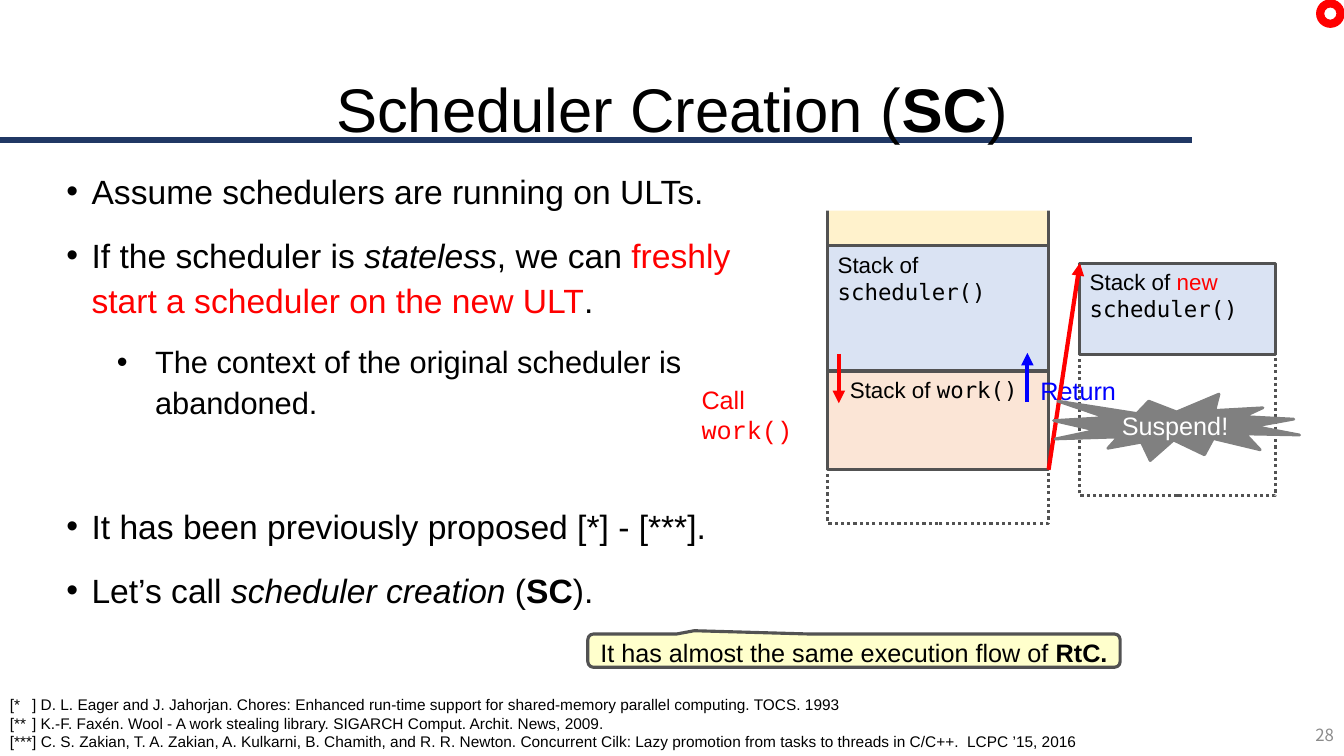
"""Build the Scheduler Creation (SC) slide with its bullets and stack diagram."""
import pptx
import pptx.util
import pptx.dml.color
import pptx.enum.dml
import pptx.enum.shapes
import pptx.enum.text
import lxml.etree

Inches, Pt = pptx.util.Inches, pptx.util.Pt
SHAPE = pptx.enum.shapes.MSO_SHAPE
ALIGN = pptx.enum.text.PP_ALIGN
ANCHOR = pptx.enum.text.MSO_ANCHOR

THEME = {
    "sans": "Arial", "mono": "DejaVu Sans Mono", "courier": "Courier New",
    "number": "Noto Sans CJK JP",
    "black": "000000", "white": "FFFFFF", "red": "FF0000", "blue": "0000FF",
    "gray": "808080", "page": "8C8C8C", "border": "525252", "navy": "203864",
    "scheduler": "DAE3F3", "work": "FBE5D6", "caller": "FFF2CC", "note": "FFFFCC",
    "title_size": 44, "body_size": 24, "sub_size": 22, "label_size": 18,
    "stack_size": 16, "page_size": 12, "reference_size": 11,
}

TITLE = [[("Scheduler Creation (",), ("SC", "bold"), (")",)]]
BULLETS = [
    {"level": 0, "before": 0, "runs": [("Assume schedulers are running on ULTs.",)]},
    {"level": 0, "before": 14, "runs": [
        ("If the scheduler is ",), ("stateless", "italic"), (", we can ",),
        ("freshly start a scheduler on the new ULT", "red"), (".",)]},
    {"level": 1, "before": 14, "runs": [
        ("The context of the original scheduler is abandoned.",)]},
    {"level": 0, "before": 58, "runs": [
        ("It has been previously proposed [*] - [***].",)]},
    {"level": 0, "before": 14, "runs": [
        ("Let’s call ",), ("scheduler creation", "italic"), (" (",),
        ("SC", "bold"), (").",)]},
]
LEVELS = [(0.25, -0.25, "body_size"), (0.88, -0.38, "sub_size")]
REFERENCES = [
    [("[*\t] D. L. Eager and J. Jahorjan. Chores: Enhanced run-time support for "
      "shared-memory parallel computing. TOCS. 1993",)],
    [("[**\t] K.-F. Faxén. Wool - A work stealing library. "
      "SIGARCH Comput. Archit. News, 2009.",)],
    [("[***] C. S. Zakian, T. A. Zakian, A. Kulkarni, B. Chamith, and R. R. Newton. "
      "Concurrent Cilk: Lazy promotion from tasks to threads in C/C++.  LCPC ’15, 2016",)],
]
NOTE = [[("It has almost the same execution flow of ",), ("RtC.", "bold")]]
SCHEDULER = [[("Stack of ",), ("scheduler()", "mono")]]
WORK = [[("Stack of ",), ("work()", "mono")]]
NEW_SCHEDULER = [[("Stack of ",), ("new ", "red"), ("scheduler()", "mono")]]
CALL = [[("Call ", "red"), ("work()", "red", "courier")]]
RETURN = [[("Return", "blue")]]
SUSPEND = [[("Suspend!", "white")]]
PAGE_NUMBER = [[("28", "page", "number")]]

STACK = {"left": 8.21, "width": 2.19, "top": 2.04}
NEW_STACK = {"left": 10.71, "width": 1.94, "top": 2.61}
CALLER_HEIGHT, SCHEDULER_HEIGHT, WORK_HEIGHT = 0.4, 1.24, 0.98

deck = pptx.Presentation()
deck.slide_width, deck.slide_height = Inches(13.33), Inches(7.5)
slide = deck.slides.add_slide(deck.slide_layouts[6])


def color(name):
    return pptx.dml.color.RGBColor.from_string(THEME[name])


def add_runs(para, runs, size):
    for text, *styles in runs:
        span = para.add_run()
        span.text = text
        span.font.size = Pt(THEME[size])
        span.font.bold = "bold" in styles
        span.font.italic = "italic" in styles
        fonts = [s for s in styles if s in ("mono", "courier", "number")]
        colors = [s for s in styles if s in ("red", "blue", "white", "page")]
        span.font.name = THEME[fonts[0] if fonts else "sans"]
        span.font.color.rgb = color(colors[0] if colors else "black")


def write(box, paragraphs, size, align=ALIGN.LEFT, anchor=ANCHOR.TOP,
          wrap=True, spacing=1.0):
    frame = box.text_frame
    frame.word_wrap = wrap
    frame.vertical_anchor = anchor
    for index, runs in enumerate(paragraphs):
        para = frame.paragraphs[0] if index == 0 else frame.add_paragraph()
        para.alignment = align
        para.line_spacing = spacing
        add_runs(para, runs, size)
    return box


def text_box(left, top, width, height):
    return slide.shapes.add_textbox(*map(Inches, (left, top, width, height)))


def add_box(kind, left, top, width, height, fill=None, line=None, weight=2.25,
            dotted=False):
    box = slide.shapes.add_shape(kind, *map(Inches, (left, top, width, height)))
    box.shadow.inherit = False
    if fill:
        box.fill.solid()
        box.fill.fore_color.rgb = color(fill)
    else:
        box.fill.background()
    if line:
        box.line.color.rgb = color(line)
        box.line.width = Pt(weight)
    else:
        box.line.fill.background()
    if dotted:
        box.line.dash_style = pptx.enum.dml.MSO_LINE.ROUND_DOT
    return box


def add_child(parent, tag, **attributes):
    name = pptx.oxml.ns.qn(tag)
    return lxml.etree.SubElement(parent, name, **attributes)


def add_line(start, end, stroke, weight, arrow=True):
    line = slide.shapes.add_connector(
        pptx.enum.shapes.MSO_CONNECTOR.STRAIGHT, *map(Inches, (*start, *end)))
    line.line.color.rgb = color(stroke)
    line.line.width = Pt(weight)
    if arrow:
        add_child(line.line._get_or_add_ln(), "a:tailEnd", type="triangle")
    add_child(line._element.spPr, "a:effectLst")


def add_bullets():
    frame = text_box(0.56, 1.61, 7.41, 4.89).text_frame
    frame.word_wrap = True
    for index, item in enumerate(BULLETS):
        para = frame.paragraphs[0] if index == 0 else frame.add_paragraph()
        margin, indent, size = LEVELS[item["level"]]
        para.level = item["level"]
        para.line_spacing = 1.1
        para.space_before = Pt(item["before"])
        properties = para._p.get_or_add_pPr()
        properties.set("marL", str(Inches(margin)))
        properties.set("indent", str(Inches(indent)))
        add_child(properties, "a:buFont", typeface=THEME["sans"])
        add_child(properties, "a:buChar", char="•")
        add_runs(para, item["runs"], size)


def add_references():
    box = write(text_box(0, 6.85, 11.25, 0.66), REFERENCES, "reference_size")
    for para in box.text_frame.paragraphs[:2]:
        tabs = add_child(para._p.get_or_add_pPr(), "a:tabLst")
        add_child(tabs, "a:tab", pos=str(Inches(0.22)), algn="l")


def add_stacks():
    left, width, top = STACK["left"], STACK["width"], STACK["top"]
    scheduler_top = top + CALLER_HEIGHT
    work_top = scheduler_top + SCHEDULER_HEIGHT
    work_bottom = work_top + WORK_HEIGHT
    rect = SHAPE.RECTANGLE
    write(add_box(rect, left, scheduler_top, width, SCHEDULER_HEIGHT,
                  "scheduler", "border"), SCHEDULER, "stack_size")
    work = write(add_box(rect, left, work_top, width, WORK_HEIGHT,
                         "work", "border"), WORK, "stack_size")
    work.text_frame.margin_left = Inches(0.22)
    work.text_frame.margin_right = 0
    add_box(rect, left, top, width, 3.15, None, "border", dotted=True)
    add_box(rect, left, top, width, CALLER_HEIGHT, "caller", "border")
    add_box(rect, 8.15, 2, 2.33, 0.09, "white")

    write(text_box(6.86, 3.76, 1.46, 0.4), CALL, "label_size")
    add_line((8.32, 3.51), (8.32, 4), "red", 3)
    write(text_box(10.22, 3.67, 0.96, 0.4), RETURN, "label_size", wrap=False)
    add_line((10.19, 3.99), (10.19, 3.5), "blue", 3)

    new_left, new_width, new_top = (NEW_STACK[k] for k in ("left", "width", "top"))
    add_box(rect, new_left, new_top, new_width, 2.31, None, "border", dotted=True)
    write(add_box(rect, new_left, new_top, new_width, 0.91, "scheduler", "border"),
          NEW_SCHEDULER, "stack_size")
    add_line((left + width, work_bottom), (new_left, new_top), "red", 3)
    write(add_box(SHAPE.EXPLOSION1, 10.45, 3.91, 2.44, 0.66, "gray", "gray", 2),
          SUSPEND, "label_size", ALIGN.CENTER, ANCHOR.MIDDLE, wrap=False)


add_line((0, 1.39), (11.82, 1.39), "navy", 4, arrow=False)
title = write(text_box(0, 0.52, 13.33, 0.99), TITLE, "title_size",
              ALIGN.CENTER, ANCHOR.MIDDLE)
title.text_frame.margin_top = Inches(0.15)
add_bullets()
write(text_box(11.08, 7.09, 2.25, 0.4), PAGE_NUMBER, "page_size",
      ALIGN.RIGHT, ANCHOR.MIDDLE)
note = add_box(SHAPE.ROUNDED_RECTANGULAR_CALLOUT, 5.83, 6.29, 5.28, 0.33,
               "note", "border")
for position, value in enumerate((-0.3, -0.6, 0.17)):
    note.adjustments[position] = value
write(note, NOTE, "label_size", ALIGN.CENTER, ANCHOR.MIDDLE, False, 1.1)
add_stacks()
add_references()
add_box(SHAPE.DONUT, 13.06, 0, 0.27, 0.27, "red", "red", 1)
deck.save("out.pptx")
